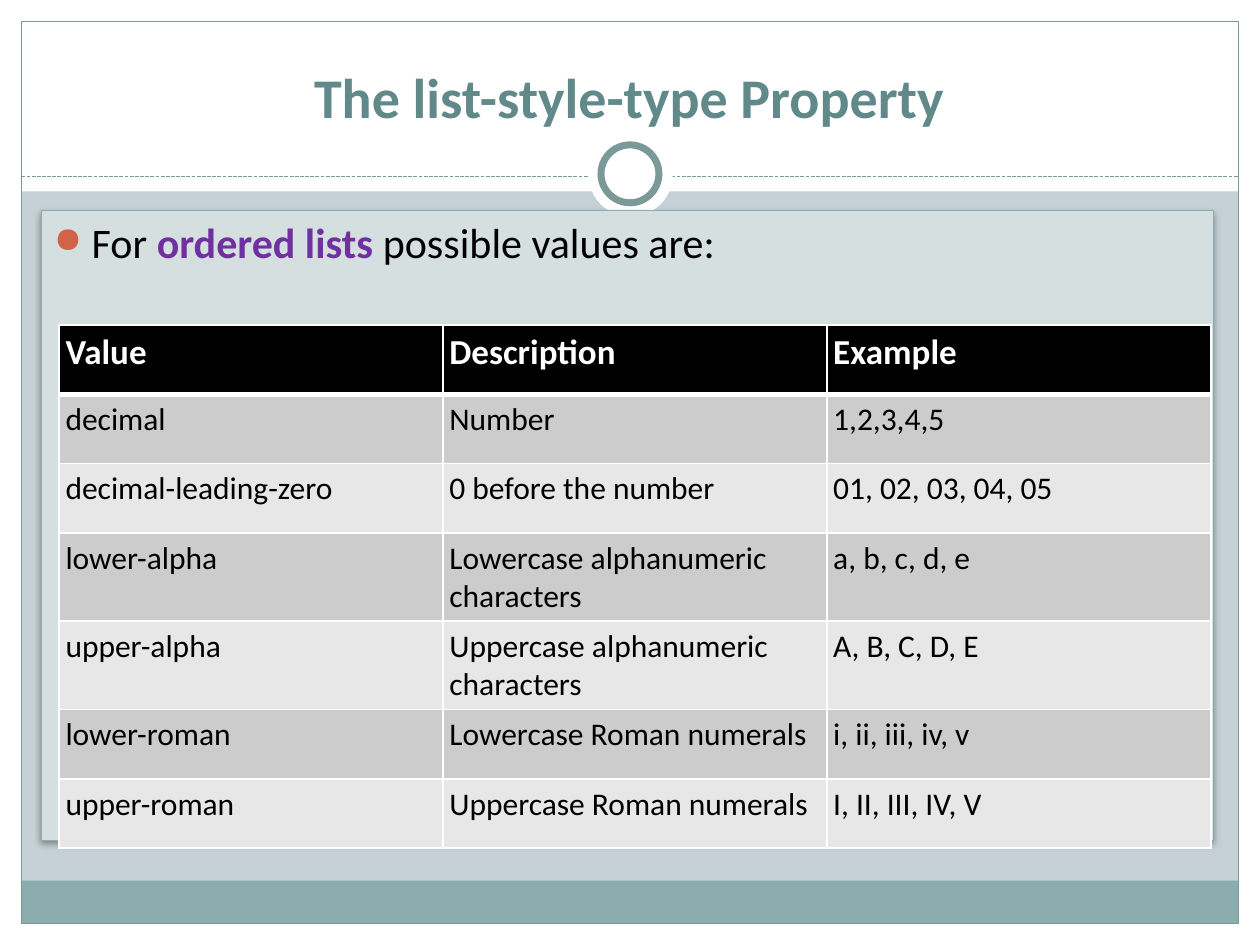
"""Build a slide on the list-style-type property for ordered lists."""
import pptx
import pptx.dml.color
import pptx.enum.dml
import pptx.enum.shapes
import pptx.enum.text
import pptx.oxml
import pptx.oxml.ns
import pptx.util

Inches = pptx.util.Inches
Pt = pptx.util.Pt
Color = pptx.dml.color.RGBColor
Shape = pptx.enum.shapes.MSO_SHAPE

WHITE = Color(0xFF, 0xFF, 0xFF)
BLACK = Color(0, 0, 0)
BACK = Color(0xC5, 0xD1, 0xD7)
TEAL = Color(0x8C, 0xAD, 0xAE)
GRAY = Color(0x7C, 0x99, 0x9A)
TITLE = Color(0x61, 0x89, 0x8A)
PANEL = Color(0xD5, 0xDF, 0xDF)
RUST = Color(0xD1, 0x63, 0x49)
PURPLE = Color(0x70, 0x30, 0xA0)
DARK = Color(0xCC, 0xCC, 0xCC)
LIGHT = Color(0xE7, 0xE7, 0xE7)
FONT = "Calibri"

ROWS = [
    ("Value", "Description", "Example"),
    ("decimal", "Number", "1,2,3,4,5"),
    ("decimal-leading-zero", "0 before the number", "01, 02, 03, 04, 05"),
    ("lower-alpha", "Lowercase alphanumeric characters", "a, b, c, d, e"),
    ("upper-alpha", "Uppercase alphanumeric characters", "A, B, C, D, E"),
    ("lower-roman", "Lowercase Roman numerals", "i, ii, iii, iv, v"),
    ("upper-roman", "Uppercase Roman numerals", "I, II, III, IV, V"),
]


def add_xml(parent, text):
    space = pptx.oxml.ns.nsdecls("a")
    head, mark, tail = text.partition(">")
    if head.endswith("/"):
        head, mark = head[:-1], "/>"
    parent.append(pptx.oxml.parse_xml(f"{head} {space}{mark}{tail}"))


def add_box(slide, kind, place, fill=None, line=None, width=0.75):
    box = slide.shapes.add_shape(kind, *map(Inches, place))
    box.shadow.inherit = False
    if fill is None:
        box.fill.background()
    else:
        box.fill.solid()
        box.fill.fore_color.rgb = fill
    if line is None:
        box.line.fill.background()
    else:
        box.line.color.rgb = line
        box.line.width = Pt(width)
    return box


def set_font(font, size, color, bold=False):
    font.name = FONT
    font.size = Pt(size)
    font.color.rgb = color
    font.bold = bold


def add_frame(slide):
    for place in [(0, 7.33, 10, 0.17), (0, 0, 10, 1.52),
                  (0, 0, 0.17, 7.5), (9.83, 0, 0.17, 7.5)]:
        add_box(slide, Shape.RECTANGLE, place, WHITE)
    add_box(slide, Shape.RECTANGLE, (0.17, 6.99, 9.66, 0.34), TEAL)
    add_box(slide, Shape.RECTANGLE, (0.17, 0.17, 9.66, 7.16), line=GRAY)
    rule = slide.shapes.add_connector(
        pptx.enum.shapes.MSO_CONNECTOR.STRAIGHT,
        Inches(0.17), Inches(1.4), Inches(9.83), Inches(1.4))
    rule.line.color.rgb = GRAY
    rule.line.width = Pt(0.75)
    rule.line.dash_style = pptx.enum.dml.MSO_LINE.SQUARE_DOT
    add_xml(rule.element.spPr, "<a:effectLst/>")
    add_box(slide, Shape.OVAL, (4.67, 1.05, 0.67, 0.67), WHITE)
    add_box(slide, Shape.OVAL, (4.77, 1.15, 0.46, 0.46), WHITE, GRAY, 4)


def add_title(slide, text):
    box = slide.shapes.add_textbox(*map(Inches, (0.33, 0.25, 9.33, 0.83)))
    frame = box.text_frame
    frame.word_wrap = True
    frame.vertical_anchor = pptx.enum.text.MSO_ANCHOR.BOTTOM
    frame.text = text
    para = frame.paragraphs[0]
    para.alignment = pptx.enum.text.PP_ALIGN.CENTER
    set_font(para.runs[0].font, 32, TITLE, True)


def add_panel(slide, parts):
    box = add_box(slide, Shape.RECTANGLE, (0.33, 1.67, 9.3, 5), PANEL, TEAL)
    props = box.element.spPr
    props.remove(props.find(pptx.oxml.ns.qn("a:effectLst")))
    add_xml(props, f'<a:effectLst><a:outerShdw blurRad="{Pt(4)}" dist="{Pt(2)}" '
            f'dir="5400000" rotWithShape="0"><a:srgbClr val="{BLACK}">'
            '<a:alpha val="35000"/></a:srgbClr></a:outerShdw></a:effectLst>')
    frame = box.text_frame
    frame.word_wrap = True
    frame.vertical_anchor = pptx.enum.text.MSO_ANCHOR.TOP
    para = frame.paragraphs[0]
    para.alignment = pptx.enum.text.PP_ALIGN.LEFT
    props = para._p.get_or_add_pPr()
    props.set("marL", str(Inches(0.3)))
    props.set("indent", str(Inches(-0.3)))
    add_xml(props, f'<a:buClr><a:srgbClr val="{RUST}"/></a:buClr>')
    add_xml(props, '<a:buSzPct val="85000"/>')
    add_xml(props, '<a:buChar char="●"/>')
    for text, color, bold in parts:
        run = para.add_run()
        run.text = text
        set_font(run.font, 24, color, bold)


def set_cell(cell, text, fill, head):
    cell.text = text
    cell.margin_left = cell.margin_right = Inches(0.05)
    cell.margin_top = cell.margin_bottom = Inches(0.05)
    font = cell.text_frame.paragraphs[0].runs[0].font
    set_font(font, 20 if head else 18, WHITE if head else BLACK, head)
    props = cell._tc.get_or_add_tcPr()
    for side in "LRTB":
        width = Pt(3 if head and side == "B" else 1)
        add_xml(props, f'<a:ln{side} w="{width}"><a:solidFill>'
                f'<a:srgbClr val="{WHITE}"/></a:solidFill></a:ln{side}>')
    cell.fill.solid()
    cell.fill.fore_color.rgb = fill


def add_grid(slide, rows):
    high = 0.55
    place = (0.47, 2.58, 9.14, high * len(rows))
    grid = slide.shapes.add_table(
        len(rows), len(rows[0]), *map(Inches, place)).table
    for i, row in enumerate(rows):
        grid.rows[i].height = Inches(high)
        fill = BLACK if i == 0 else DARK if i % 2 else LIGHT
        for j, text in enumerate(row):
            set_cell(grid.cell(i, j), text, fill, i == 0)


def main():
    deck = pptx.Presentation()
    deck.slide_width, deck.slide_height = Inches(10), Inches(7.5)
    slide = deck.slides.add_slide(deck.slide_layouts[6])
    slide.background.fill.solid()
    slide.background.fill.fore_color.rgb = BACK
    add_frame(slide)
    add_title(slide, "The list-style-type Property")
    add_panel(slide, [("For ", BLACK, False), ("ordered lists ", PURPLE, True),
                      ("possible values are:", BLACK, False)])
    add_grid(slide, ROWS)
    deck.save("out.pptx")


if __name__ == "__main__":
    main()
